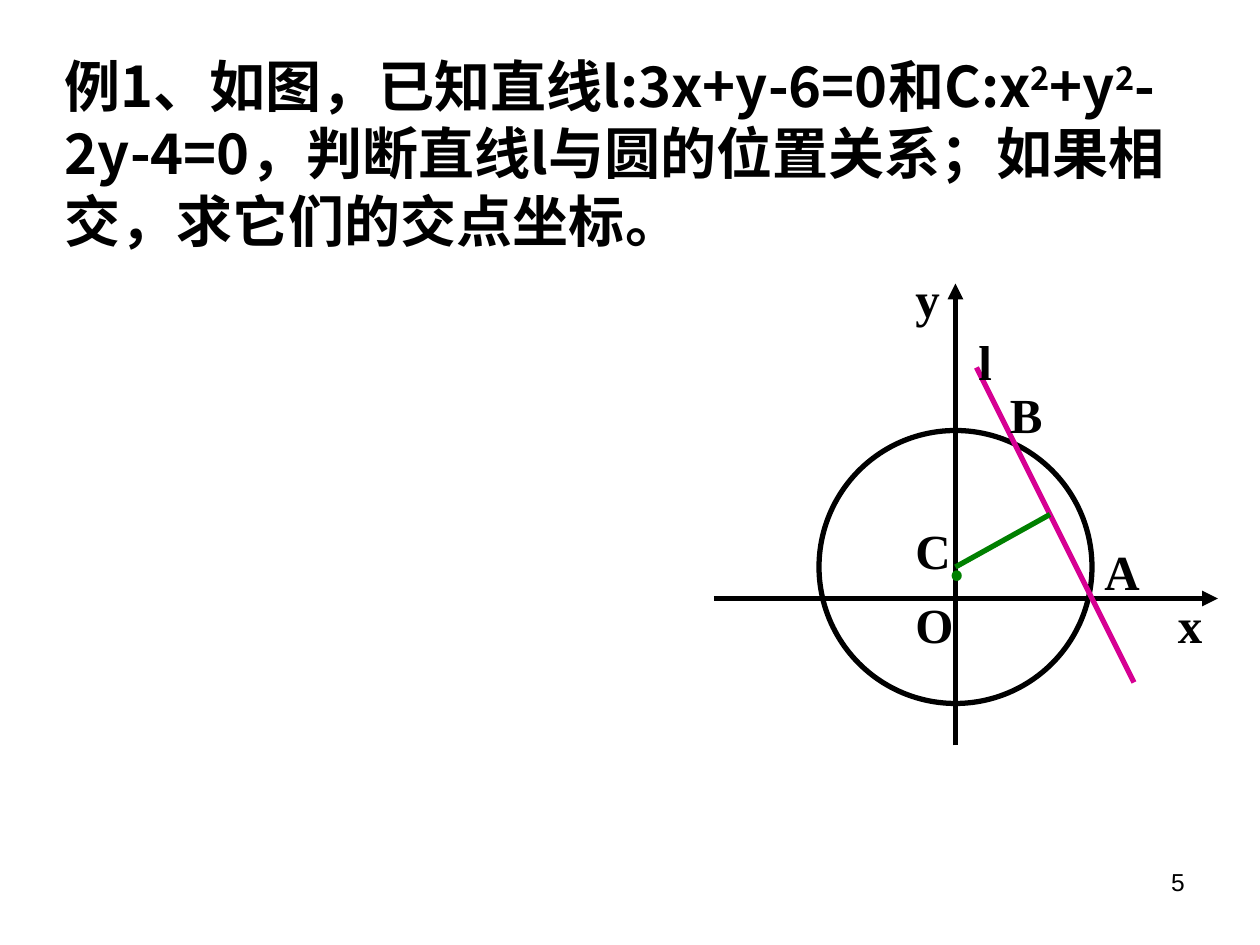
import dataclasses
import typing

import pptx
import pptx.dml.color
import pptx.enum.shapes
import pptx.enum.text
import pptx.oxml
import pptx.oxml.ns
import pptx.util

Pt = pptx.util.Pt
RGB = pptx.dml.color.RGBColor
Align = pptx.enum.text.PP_ALIGN

BLACK = RGB(0, 0, 0)
GREEN = RGB(0, 128, 0)
PINK = RGB(214, 0, 147)
SANS = "Noto Sans CJK SC"

TITLE = {"name": SANS, "size": Pt(32), "bold": True}
POINT = {"name": SANS, "size": Pt(44)}
LABEL = {"name": "Times New Roman", "size": Pt(28), "bold": True}
FOOT = {"name": "Arial", "size": Pt(14)}


@dataclasses.dataclass
class Line:
    start: tuple[float, float]
    end: tuple[float, float]
    color: RGB
    arrow: bool = False


@dataclasses.dataclass
class Text:
    runs: list[str]
    left: float
    top: float
    width: float
    height: float
    font: dict[str, typing.Any]
    color: RGB = BLACK
    align: Align = Align.LEFT
    pitch: float = 0


AXES = [
    Line((408, 342), (696, 342), BLACK, True),
    Line((546, 426), (546, 162), BLACK, True),
]
CHORDS = [
    Line((648, 390), (558, 210), PINK),
    Line((546, 324), (600, 294), GREEN),
]
MARKS = [
    ("x", 666, 336),
    ("y", 516, 150),
    ("O", 516, 336),
    ("C", 516, 294),
    ("A", 624, 306),
    ("B", 570, 216),
    ("l", 552, 186),
]
WORDS = [
    Text(["5"], 516, 492, 168, 37.5, FOOT, align=Align.RIGHT),
    Text(
        [
            "例1、如图，已知直线l:3x+y-6=0和C:x",
            "2",
            "+y",
            "2",
            "-2y-4=0，判断直线l与圆的位置关系；如果相交，求它们的交点坐标。",
        ],
        30, 26, 659, 122, TITLE, pitch=38.4,
    ),
    Text(["."], 534, 284, 48, 60, POINT, GREEN, pitch=53),
    *[Text([name], x, y, 48, 41, LABEL) for name, x, y in MARKS],
]


def add_tag(node: typing.Any, tag: str, **attrs: str) -> None:
    item = pptx.oxml.parse_xml(f"<a:{tag} {pptx.oxml.ns.nsdecls('a')}/>")
    for key, value in attrs.items():
        item.set(key, value)
    node.append(item)


def draw_line(shapes: typing.Any, line: Line) -> None:
    kind = pptx.enum.shapes.MSO_CONNECTOR.STRAIGHT
    ends = [Pt(v) for v in (*line.start, *line.end)]
    shape = shapes.add_connector(kind, *ends)
    shape.line.color.rgb = line.color
    shape.line.width = Pt(3)
    props = shape._element.spPr
    if line.arrow:
        add_tag(shape.line._get_or_add_ln(), "tailEnd", type="triangle")
    add_tag(props, "effectLst")


def draw_ring(shapes: typing.Any) -> None:
    kind = pptx.enum.shapes.MSO_SHAPE.OVAL
    ring = shapes.add_shape(kind, Pt(468), Pt(246), Pt(156), Pt(156))
    ring.shadow.inherit = False
    ring.fill.background()
    ring.line.color.rgb = BLACK
    ring.line.width = Pt(3)


def draw_text(shapes: typing.Any, text: Text) -> None:
    area = [Pt(v) for v in (text.left, text.top, text.width, text.height)]
    frame = shapes.add_textbox(*area).text_frame
    frame.word_wrap = True
    para = frame.paragraphs[0]
    para.alignment = text.align
    if text.pitch:
        para.line_spacing = Pt(text.pitch)
    for index, words in enumerate(text.runs):
        run = para.add_run()
        run.text = words
        for key, value in text.font.items():
            setattr(run.font, key, value)
        run.font.color.rgb = text.color
        props = run._r.get_or_add_rPr()
        add_tag(props, "ea", typeface=text.font["name"])
        if index % 2:
            props.set("baseline", "30000")


def main() -> None:
    deck = pptx.Presentation()
    deck.slide_width, deck.slide_height = Pt(720), Pt(540)
    shapes = deck.slides.add_slide(deck.slide_layouts[6]).shapes
    for line in AXES:
        draw_line(shapes, line)
    draw_ring(shapes)
    for line in CHORDS:
        draw_line(shapes, line)
    for text in WORDS:
        draw_text(shapes, text)
    deck.save("out.pptx")


if __name__ == "__main__":
    main()
